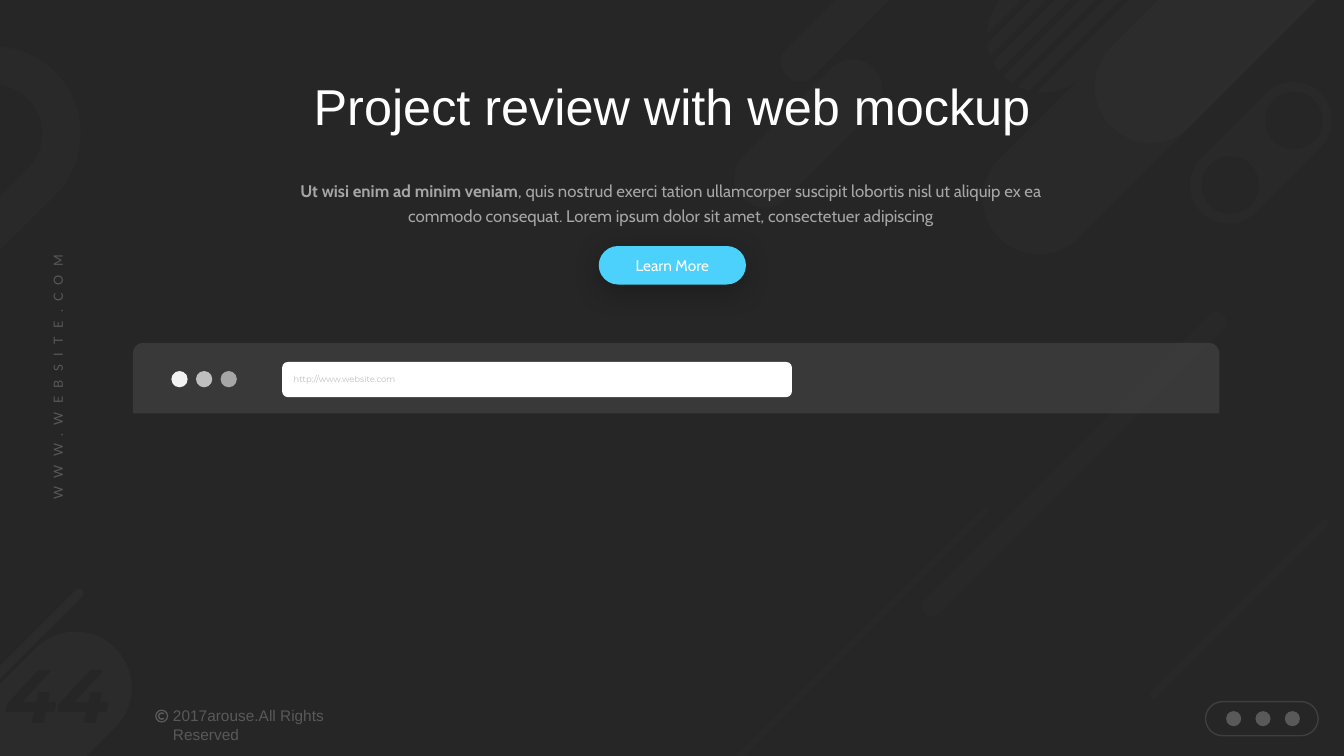
from dataclasses import dataclass
from math import cos, radians, sin

from lxml import etree
from pptx import Presentation
from pptx.dml.color import RGBColor
from pptx.enum.shapes import MSO_SHAPE
from pptx.enum.text import MSO_ANCHOR, PP_ALIGN
from pptx.oxml import parse_xml
from pptx.oxml.ns import qn
from pptx.util import Cm, Pt

PILL = MSO_SHAPE.ROUNDED_RECTANGLE
OVAL = MSO_SHAPE.OVAL
LEFT, CENTER = PP_ALIGN.LEFT, PP_ALIGN.CENTER
TOP, MIDDLE = MSO_ANCHOR.TOP, MSO_ANCHOR.MIDDLE


@dataclass(frozen=True)
class Theme:
    back: str = "262626"
    shade: str = "404040"
    muted: str = "595959"
    body: str = "A6A6A6"
    hint: str = "BFBFBF"
    light: str = "F2F2F2"
    white: str = "FFFFFF"
    accent: str = "4BD1FB"
    title_size: float = 36
    body_size: float = 12
    small_size: float = 11
    site_size: float = 9
    url_size: float = 6
    number_size: float = 54


T = Theme()

prs = Presentation()
prs.slide_width, prs.slide_height = Cm(33.87), Cm(19.05)
s = prs.slides.add_slide(prs.slide_layouts[6])
s.background.fill.solid()
s.background.fill.fore_color.rgb = RGBColor.from_string(T.back)


def paint(sp, color, opacity=100):
    """Fill a shape flat, without line or shadow; opacity is in percent."""
    sp.shadow.inherit = False
    sp.line.fill.background()
    sp.fill.solid()
    sp.fill.fore_color.rgb = RGBColor.from_string(color)
    if opacity < 100:
        clr = sp.fill._xPr.find(".//" + qn("a:srgbClr"))
        etree.SubElement(clr, qn("a:alpha"), val=str(opacity * 1000))
    return sp


def write(sp, text, font, size, color, align=LEFT, anchor=TOP):
    """Put one paragraph in a shape or text box and return the paragraph."""
    tf = sp.text_frame
    tf.word_wrap = True
    tf.vertical_anchor = anchor
    tf.text = text
    p = tf.paragraphs[0]
    p.alignment = align
    p.font.name, p.font.size = font, Pt(size)
    p.font.color.rgb = RGBColor.from_string(color)
    return p


# Half ring with a diagonal tail, cut by the left edge
ring_x, ring_y, outer, inner = -0.17, 3.37, 2.2, 1.24
angles = [radians(a) for a in range(-85, 46, 5)]
outline = [(ring_x + outer * cos(a), ring_y + outer * sin(a)) for a in angles]
outline += [(0, 6.3), (0, 4.96)]
outline += [(ring_x + inner * cos(a), ring_y + inner * sin(a)) for a in reversed(angles)]
points = [(Cm(x), Cm(y)) for x, y in outline]
fb = s.shapes.build_freeform(*points[0])
fb.add_line_segments(points[1:], close=True)
paint(fb.convert_to_shape(), T.shade, 15)

# Diagonal pills: left, top, width, height, colour, opacity
stripes = [(24.61 + 0.62 * i, -6.07, 0.15, 14.48, T.back, 100) for i in range(5)]
pills = [
    (29.29, -7.32, 2.82, 15.6, T.shade, 15),
    (32.11, -10.13, 2.82, 15.6, T.shade, 15),
    (29.39, -11.4, 2.82, 15.6, T.shade, 15),
    (30.81, 1.73, 1.93, 4.24, T.shade, 15),
    *stripes,
    (-0.15, 15.65, 2.82, 4.65, T.shade, 20),
    (0.71, 14.35, 0.23, 3.53, T.shade, 20),
    (21.06, 11.28, 0.13, 10.59, T.shade, 10),
    (26.82, 6.38, 0.51, 10.64, T.shade, 10),
    (19.61, 1.04, 1.52, 4.65, T.shade, 12),
    (20.98, -2.06, 0.97, 4.65, T.shade, 15),
    (31.14, 12.19, 0.18, 6.32, T.shade, 10),
]
for x, y, w, h, color, opacity in pills:
    sp = s.shapes.add_shape(PILL, Cm(x), Cm(y), Cm(w), Cm(h))
    sp.adjustments[0] = 0.5
    sp.rotation = 45
    paint(sp, color, opacity)

# Round spots: holes, social buttons, browser dots
spots = [(31.88, 2.31, 1.45, T.back), (30.28, 3.94, 1.45, T.back)]
spots += [(30.9 + 0.74 * i, 17.92, 0.38, T.muted) for i in range(3)]

# Social badge
badge = s.shapes.add_shape(PILL, Cm(30.38), Cm(17.68), Cm(2.84), Cm(0.86))
badge.adjustments[0] = 0.5
badge.shadow.inherit = False
badge.fill.background()
badge.line.color.rgb = RGBColor.from_string(T.muted)
badge.line.width = Pt(1)
clr = badge.line._ln.find(".//" + qn("a:srgbClr"))
etree.SubElement(clr, qn("a:alpha"), val="50000")

# Browser bar
bar = s.shapes.add_shape(MSO_SHAPE.ROUND_2_SAME_RECTANGLE, Cm(3.35), Cm(8.64), Cm(27.38), Cm(1.78))
bar.adjustments[0] = 0.149
paint(bar, T.shade, 76)
spots += [(4.32 + 0.62 * i, 9.35, 0.41, c) for i, c in enumerate([T.light, T.hint, T.body])]
for x, y, d, color in spots:
    paint(s.shapes.add_shape(OVAL, Cm(x), Cm(y), Cm(d), Cm(d)), color)

address = paint(s.shapes.add_shape(PILL, Cm(7.11), Cm(9.12), Cm(12.85), Cm(0.89)), T.white)
write(address, "http://www.website.com", "Montserrat", T.url_size, T.hint, anchor=MIDDLE)

# Footer and side text
circle = s.shapes.add_shape(MSO_SHAPE.DONUT, Cm(3.91), Cm(17.88), Cm(0.33), Cm(0.33))
circle.adjustments[0] = 0.1
paint(circle, T.muted)
letter_c = s.shapes.add_shape(MSO_SHAPE.BLOCK_ARC, Cm(3.98), Cm(17.95), Cm(0.19), Cm(0.19))
for i, value in enumerate([27, 189, 0.2]):
    letter_c.adjustments[i] = value
paint(letter_c, T.muted)

rights = s.shapes.add_textbox(Cm(4.11), Cm(17.68), Cm(5.89), Cm(0.74))
write(rights, "2017arouse.All Rights Reserved", "Arial", T.small_size, T.muted)

site = s.shapes.add_textbox(Cm(-2.21), Cm(9.19), Cm(7.34), Cm(0.64))
site.rotation = 270
p = write(site, "WWW.WEBSITE.COM", "Lato", T.site_size, T.muted, CENTER)
p.runs[0].font._element.set("spc", "600")

number = s.shapes.add_textbox(Cm(0), Cm(16.2), Cm(2.88), Cm(2.56))
number.text_frame.margin_left = number.text_frame.margin_right = 0
p = write(number, "44", "Montserrat", T.number_size, T.back, CENTER, MIDDLE)
p.font.bold = p.font.italic = True

# Title, body and button
title = s.shapes.add_textbox(Cm(4.95), Cm(1.78), Cm(23.98), Cm(1.8))
write(title, "Project review with web mockup", "Arial", T.title_size, T.white, CENTER)

body = s.shapes.add_textbox(Cm(7.29), Cm(4.34), Cm(19.25), Cm(1.5))
p = write(body, "Ut wisi enim ad minim veniam", "Cabin", T.body_size, T.body, CENTER)
p.line_spacing = 1.2
p.runs[0].font.bold = True
r = p.add_run()
r.text = (", quis nostrud exerci tation ullamcorper suscipit lobortis nisl ut aliquip ex ea "
          "commodo consequat. Lorem ipsum dolor sit amet, consectetuer adipiscing")

button = s.shapes.add_shape(PILL, Cm(15.09), Cm(6.2), Cm(3.71), Cm(0.97))
button.adjustments[0] = 0.5
paint(button, T.accent)
button._element.spPr.find(qn("a:effectLst")).append(parse_xml(
    '<a:outerShdw xmlns:a="http://schemas.openxmlformats.org/drawingml/2006/main" '
    f'blurRad="{Pt(20)}" dist="{Pt(5)}" dir="5400000" algn="t" rotWithShape="0">'
    '<a:srgbClr val="0D0D0D"><a:alpha val="40000"/></a:srgbClr></a:outerShdw>'))
write(button, "Learn More", "Cabin", T.small_size, T.white, CENTER, MIDDLE)

prs.save("out.pptx")
